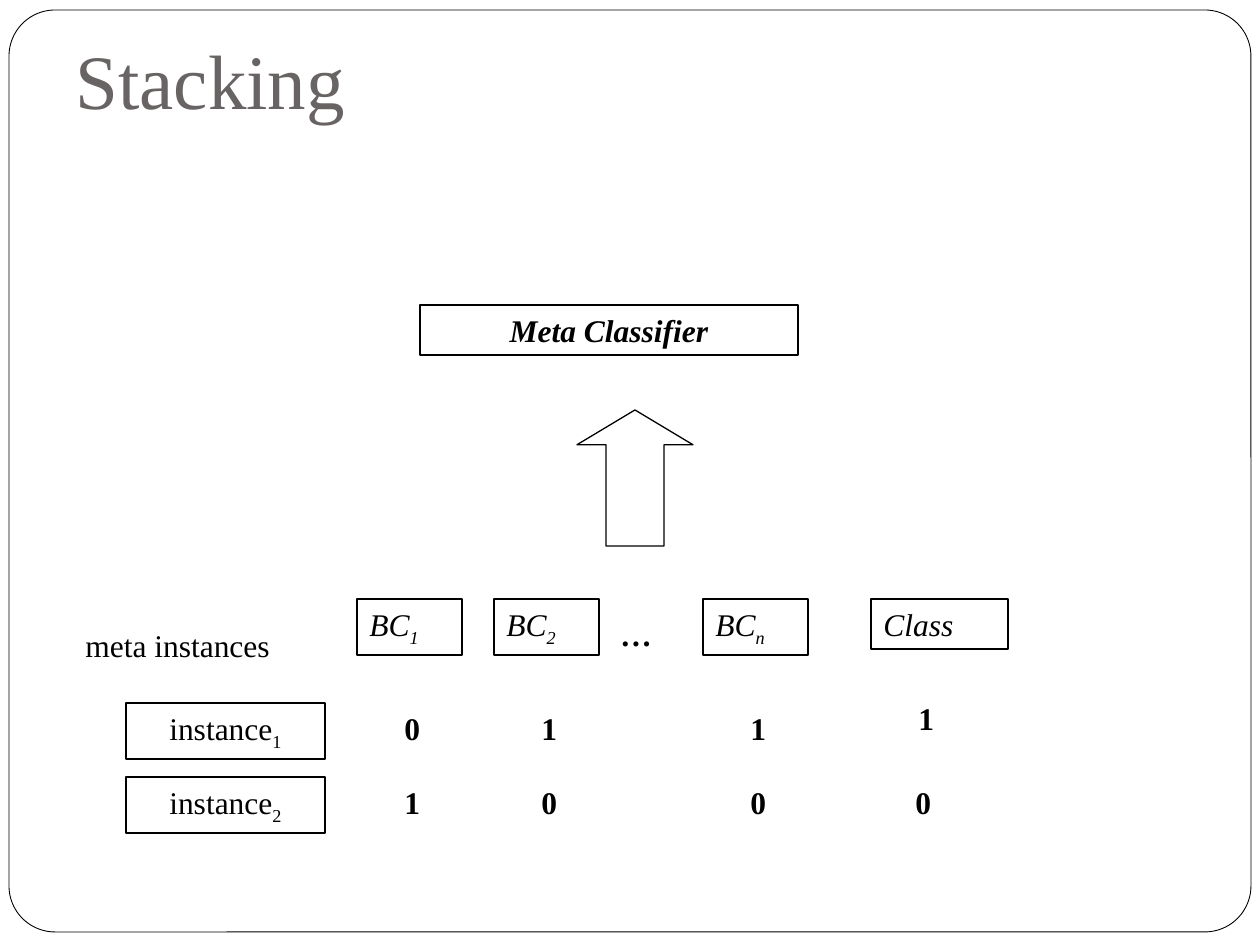
"""Build the Stacking slide: meta instances feeding a meta classifier."""
from pptx import Presentation
from pptx.dml.color import RGBColor
from pptx.enum.shapes import MSO_SHAPE
from pptx.enum.text import MSO_ANCHOR, MSO_AUTO_SIZE, PP_ALIGN
from pptx.util import Emu, Pt

COLORS = {"title": "696464", "ink": "000000", "paper": "FFFFFF"}
FONT = "Times New Roman"
PX = 914400 / 126


def add_outline(preset, left, top, width, height, line_width=0.75):
    shape = slide.shapes.add_shape(
        preset, *(Emu(round(length * PX)) for length in (left, top, width, height)))
    shape.shadow.inherit = False
    shape.fill.background()
    shape.line.color.rgb = RGBColor.from_string(COLORS["ink"])
    shape.line.width = Pt(line_width)
    return shape


def add_label(text, left, top, width, height, subscript="", boxed=False,
              bold=False, italic=False, align=PP_ALIGN.LEFT, wrap=True):
    if boxed:
        shape = add_outline(MSO_SHAPE.RECTANGLE, left, top, width, height)
    else:
        shape = slide.shapes.add_textbox(
            *(Emu(round(length * PX)) for length in (left, top, width, height)))
    frame = shape.text_frame
    frame.word_wrap = wrap
    frame.vertical_anchor = MSO_ANCHOR.TOP
    paragraph = frame.paragraphs[0]
    paragraph.alignment = align
    font = paragraph.font
    font.name, font.size, font.bold, font.italic = FONT, Pt(18), bold, italic
    font.color.rgb = RGBColor.from_string(COLORS["ink"])
    paragraph.add_run().text = text
    if subscript:
        run = paragraph.add_run()
        run.text = subscript
        run._r.get_or_add_rPr().set("baseline", "-25000")


presentation = Presentation()
presentation.slide_width = Emu(round(1260 * PX))
presentation.slide_height = Emu(round(945 * PX))
slide = presentation.slides.add_slide(presentation.slide_layouts[5])

border = add_outline(MSO_SHAPE.ROUNDED_RECTANGLE, 9, 10, 1242, 922, 0.5)
border.adjustments[0] = 0.05
border.fill.solid()
border.fill.fore_color.rgb = RGBColor.from_string(COLORS["paper"])
slide.shapes._spTree.insert(2, border._element)

title = slide.shapes.title
title.left, title.top, title.width, title.height = (
    Emu(round(length * PX)) for length in (63, 0, 1134, 158))
title.text_frame.text = "Stacking"
title.text_frame.auto_size = MSO_AUTO_SIZE.NONE
title.text_frame.vertical_anchor = MSO_ANCHOR.MIDDLE
heading = title.text_frame.paragraphs[0]
heading.alignment = PP_ALIGN.LEFT
heading.font.name, heading.font.size = FONT, Pt(44)
heading.font.color.rgb = RGBColor.from_string(COLORS["title"])

add_label("Meta Classifier", 420, 305, 378, 50, boxed=True, bold=True,
          italic=True, align=PP_ALIGN.CENTER)
arrow = add_outline(MSO_SHAPE.UP_ARROW, 577, 410, 116, 136)
arrow.adjustments[0] = 0.5
arrow.adjustments[1] = 0.3

add_label("meta instances", 73, 620, 378, 50)
classifier_lefts = {"1": 357, "2": 494, "n": 703}
for subscript, left in classifier_lefts.items():
    add_label("BC", left, 599, 105, 56, subscript, boxed=True, italic=True)
add_label("…", 609, 609, 73, 50, bold=True, italic=True)
add_label("Class", 871, 599, 137, 50, boxed=True, italic=True)

instances = [
    ("1", 703, "011", ("1", 906, 693)),
    ("2", 777, "100", ("0", 903, 777)),
]
for subscript, top, predictions, class_label in instances:
    add_label("instance", 126, top, 199, 56, subscript, boxed=True, align=PP_ALIGN.CENTER)
    for left, prediction in zip(classifier_lefts.values(), predictions):
        add_label(prediction, left + 35, top, 40, 50, bold=True, wrap=False)
    add_label(*class_label, 40, 50, bold=True, wrap=False)

presentation.save("out.pptx")
